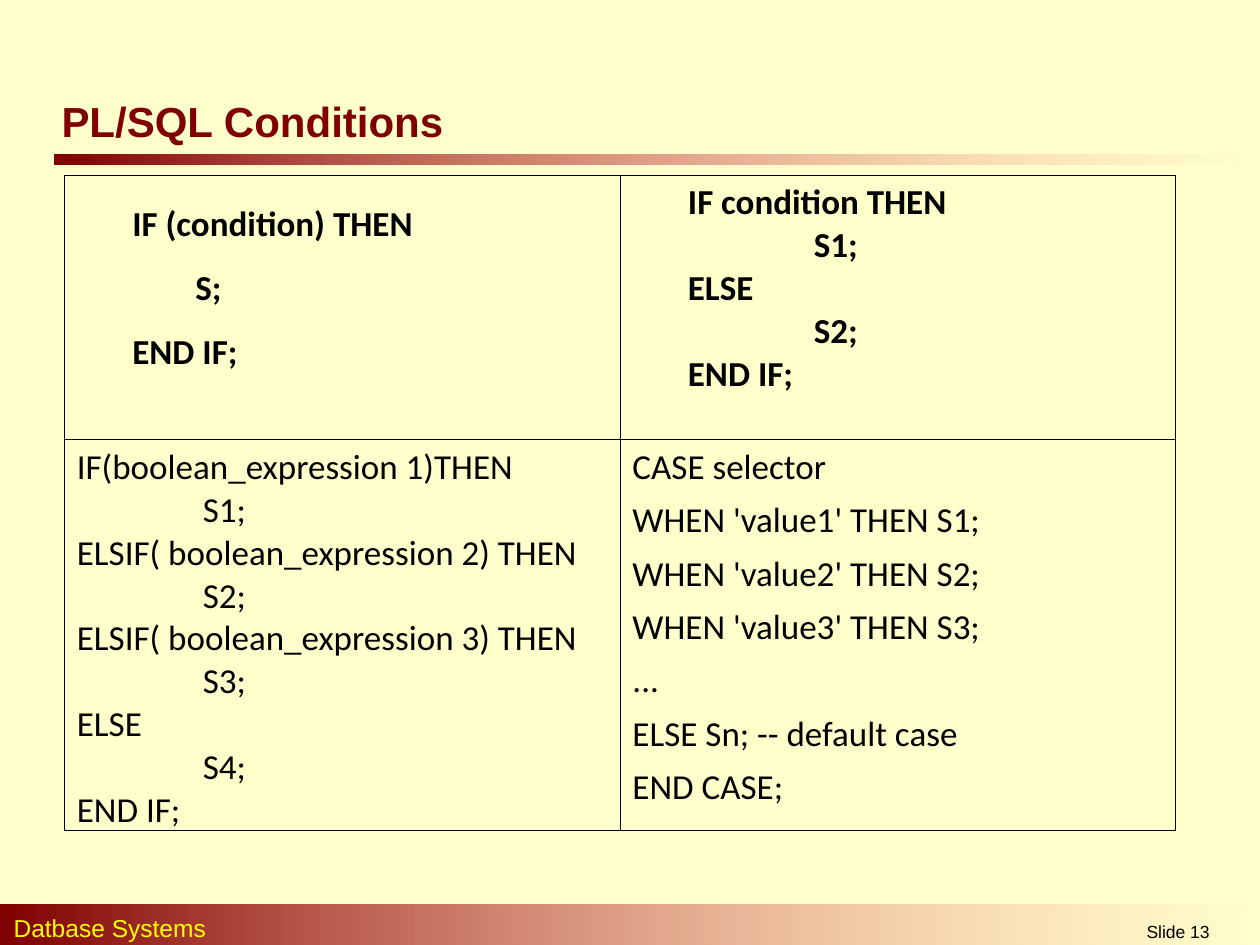
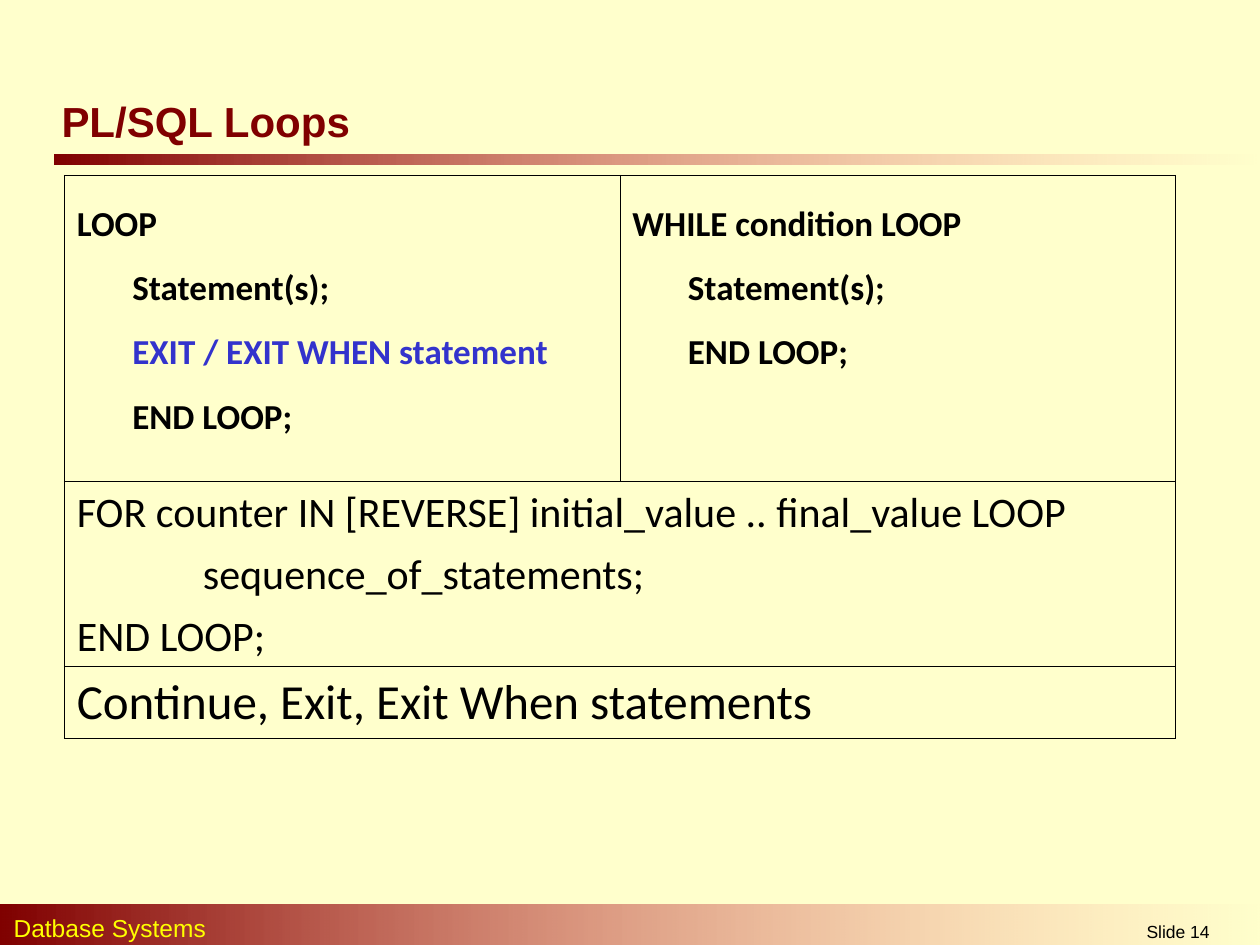
from dataclasses import dataclass

from lxml import etree
from pptx import Presentation
from pptx.dml.color import RGBColor
from pptx.enum.shapes import MSO_SHAPE
from pptx.enum.text import MSO_ANCHOR, PP_ALIGN
from pptx.oxml.ns import qn
from pptx.util import Emu, Pt

RECTANGLE = MSO_SHAPE.RECTANGLE
LEFT, CENTER = PP_ALIGN.LEFT, PP_ALIGN.CENTER
TOP, MIDDLE = MSO_ANCHOR.TOP, MSO_ANCHOR.MIDDLE

# Shared look: 100 px to the inch
EMU_PER_PX = 9144
CREAM, MAROON, ROSE = "FFFFCC", "800000", "FF8585"
BLACK, YELLOW, BLUE = "000000", "FFFF00", "3333CC"
HEADING_FONT, CODE_FONT = "Arial", "Calibri"
BORDER_WIDTH = Pt(0.45)
BLANK_LAYOUT = 6
FIRST_SLIDE_NUMBER = 13

TABLE_LEFT, TABLE_TOP, COLUMN_WIDTH, COLUMN_COUNT = 51, 139, 441, 2
STEP = 44   # first indent of a code line
DEEP = 94   # second indent
TAB = 100   # one tab stop


@dataclass(frozen=True)
class Box:
    left: int
    top: int
    width: int
    height: int


@dataclass(frozen=True)
class Style:
    size: int
    font: str = CODE_FONT
    color: str = BLACK
    bold: bool = False


@dataclass(frozen=True)
class Line:
    text: str
    indent: int = 0
    color: str = BLACK


@dataclass(frozen=True)
class Snippet:
    lines: list[Line]
    size: int = 20
    bold: bool = False
    spacing: float = 1.0
    before: int = 0


@dataclass(frozen=True)
class Row:
    height: int
    snippets: list[Snippet]  # a single snippet spans the whole row


@dataclass(frozen=True)
class Topic:
    title: str
    rows: list[Row]


@dataclass(frozen=True)
class Label:
    box: Box
    style: Style
    align: PP_ALIGN = LEFT
    anchor: MSO_ANCHOR = TOP
    indent: int = 0


TITLE = Label(Box(39, 76, 734, 39), Style(24, HEADING_FONT, MAROON, True), anchor=MIDDLE)
COURSE = Label(Box(-4, 720, 646, 34), Style(14, HEADING_FONT, YELLOW), indent=5)
PAGE = Label(Box(831, 726, 208, 24), Style(10, HEADING_FONT), align=CENTER)
TITLE_RULE = Box(43, 123, 957, 8)
FOOTER_BAND = Box(0, 718, 1003, 35)

# Content
TOPICS = [
    Topic("PL/SQL Conditions", [
        Row(210, [
            Snippet([Line("IF (condition) THEN", STEP), Line("S;", DEEP),
                     Line("END IF;", STEP)], bold=True, spacing=1.5),
            Snippet([Line("IF condition THEN", STEP), Line("S1;", STEP + TAB),
                     Line("ELSE", STEP), Line("S2;", STEP + TAB),
                     Line("END IF;", STEP)], bold=True),
        ]),
        Row(310, [
            Snippet([Line("IF(boolean_expression 1)THEN"), Line("S1;", TAB),
                     Line("ELSIF( boolean_expression 2) THEN"), Line("S2;", TAB),
                     Line("ELSIF( boolean_expression 3) THEN"), Line("S3;", TAB),
                     Line("ELSE"), Line("S4;", TAB), Line("END IF;")]),
            Snippet([Line("CASE selector"),
                     *(Line(f"WHEN 'value{n}' THEN S{n};") for n in range(1, 4)),
                     Line("..."), Line("ELSE Sn; -- default case"),
                     Line("END CASE;")], before=6),
        ]),
    ]),
    Topic("PL/SQL Loops", [
        Row(243, [
            Snippet([Line("LOOP"), Line("Statement(s);", STEP),
                     Line("EXIT / EXIT WHEN statement", STEP, BLUE),
                     Line("END LOOP;", STEP)], bold=True, spacing=1.5),
            Snippet([Line("WHILE condition LOOP"), Line("Statement(s);", STEP),
                     Line("END LOOP;", STEP)], bold=True, spacing=1.5),
        ]),
        Row(147, [
            Snippet([Line("FOR counter IN [REVERSE] initial_value .. final_value LOOP"),
                     Line("sequence_of_statements;", TAB),
                     Line("END LOOP;")], size=24, before=6),
        ]),
        Row(57, [Snippet([Line("Continue, Exit, Exit When statements")], size=28, before=6)]),
    ]),
]


def px(length: int) -> Emu:
    return Emu(length * EMU_PER_PX)


def rgb(color: str) -> RGBColor:
    return RGBColor.from_string(color)


def place(box: Box) -> tuple[Emu, Emu, Emu, Emu]:
    return px(box.left), px(box.top), px(box.width), px(box.height)


def set_all(target, values: dict) -> None:
    for name, value in values.items():
        setattr(target, name, value)


def write_line(paragraph, text: str, style: Style, indent: int, layout: dict) -> None:
    set_all(paragraph, layout)
    properties = paragraph._p.get_or_add_pPr()
    properties.set("marL", str(px(indent)))
    properties.set("indent", "0")
    run = paragraph.add_run()
    run.text = text
    set_all(run.font, {"size": Pt(style.size), "name": style.font, "bold": style.bold})
    run.font.color.rgb = rgb(style.color)


def add_band(slide, box: Box) -> None:
    """Draw a bar that fades out to the right."""
    band = slide.shapes.add_shape(RECTANGLE, *place(box))
    band.shadow.inherit = False
    band.line.fill.background()
    band.fill.gradient()
    band.fill.gradient_angle = 0
    for stop, color in zip(band.fill.gradient_stops, (MAROON, ROSE)):
        stop.color.rgb = rgb(color)
    fade = band._element.spPr.findall(".//" + qn("a:srgbClr"))[-1]
    etree.SubElement(fade, qn("a:alpha"), val="0")


def add_label(slide, label: Label, text: str) -> None:
    frame = slide.shapes.add_textbox(*place(label.box)).text_frame
    set_all(frame, {"word_wrap": True, "vertical_anchor": label.anchor})
    write_line(frame.paragraphs[0], text, label.style, label.indent,
               {"alignment": label.align})


def outline(cell) -> None:
    properties = cell._tc.get_or_add_tcPr()
    for side in ("lnL", "lnR", "lnT", "lnB"):
        border = etree.SubElement(properties, qn(f"a:{side}"), w=str(BORDER_WIDTH))
        paint = etree.SubElement(border, qn("a:solidFill"))
        etree.SubElement(paint, qn("a:srgbClr"), val=BLACK)
    cell.fill.background()


def fill_cell(cell, snippet: Snippet) -> None:
    frame = cell.text_frame
    layout = {"alignment": LEFT, "line_spacing": snippet.spacing,
              "space_before": Pt(snippet.before)}
    for position, line in enumerate(snippet.lines):
        paragraph = frame.add_paragraph() if position else frame.paragraphs[0]
        style = Style(snippet.size, color=line.color, bold=snippet.bold)
        write_line(paragraph, line.text, style, line.indent, layout)


def add_code_table(slide, rows: list[Row]) -> None:
    box = Box(TABLE_LEFT, TABLE_TOP, COLUMN_WIDTH * COLUMN_COUNT,
              sum(row.height for row in rows))
    table = slide.shapes.add_table(len(rows), COLUMN_COUNT, *place(box)).table
    set_all(table, {"first_row": False, "horz_banding": False})
    for cell in table.iter_cells():
        outline(cell)
    for index, row in enumerate(rows):
        table.rows[index].height = px(row.height)
        if len(row.snippets) == 1:
            table.cell(index, 0).merge(table.cell(index, COLUMN_COUNT - 1))
        for column, snippet in enumerate(row.snippets):
            fill_cell(table.cell(index, column), snippet)


def add_topic(deck, topic: Topic, number: int) -> None:
    slide = deck.slides.add_slide(deck.slide_layouts[BLANK_LAYOUT])
    slide.background.fill.solid()
    slide.background.fill.fore_color.rgb = rgb(CREAM)
    for band in (TITLE_RULE, FOOTER_BAND):
        add_band(slide, band)
    add_label(slide, COURSE, "Datbase Systems")
    add_label(slide, PAGE, f"Slide {number}")
    add_label(slide, TITLE, topic.title)
    add_code_table(slide, topic.rows)


def main() -> None:
    deck = Presentation()
    set_all(deck, {"slide_width": px(1000), "slide_height": px(750)})
    for number, topic in enumerate(TOPICS, FIRST_SLIDE_NUMBER):
        add_topic(deck, topic, number)
    deck.save("out.pptx")


if __name__ == "__main__":
    main()
